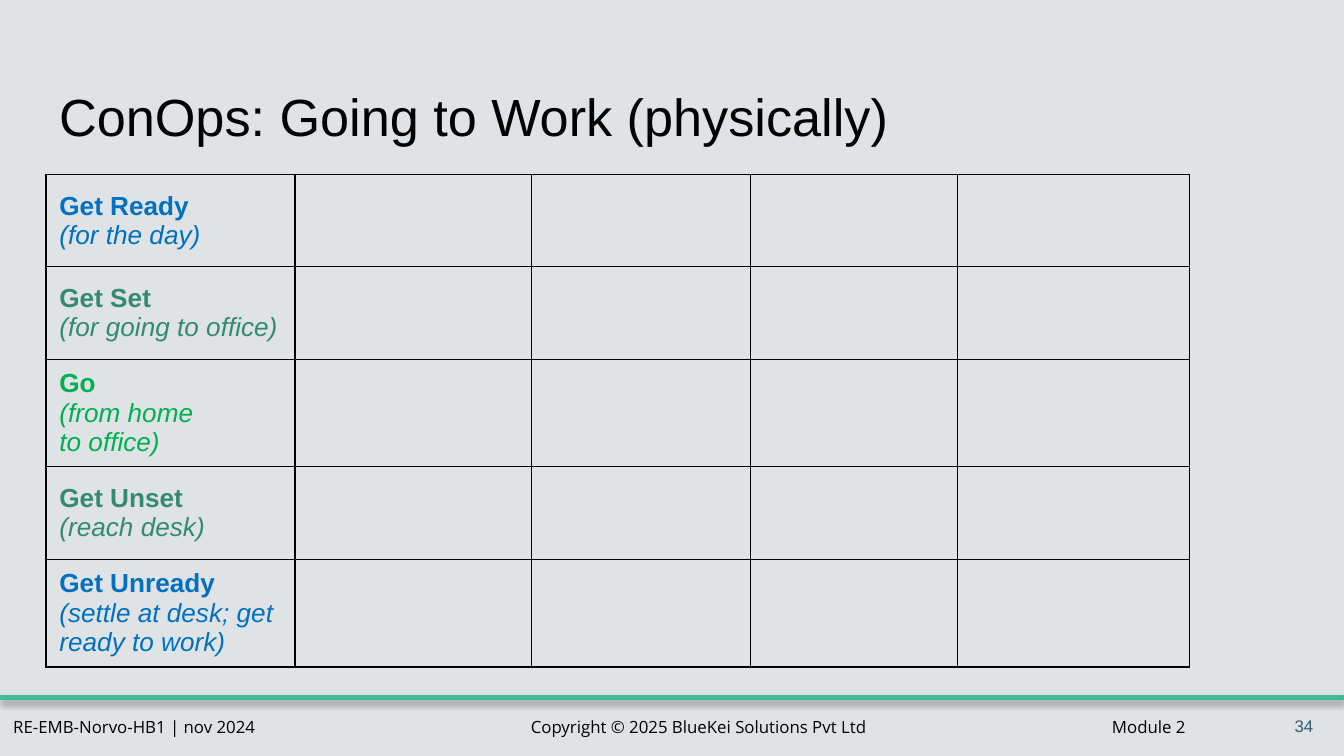
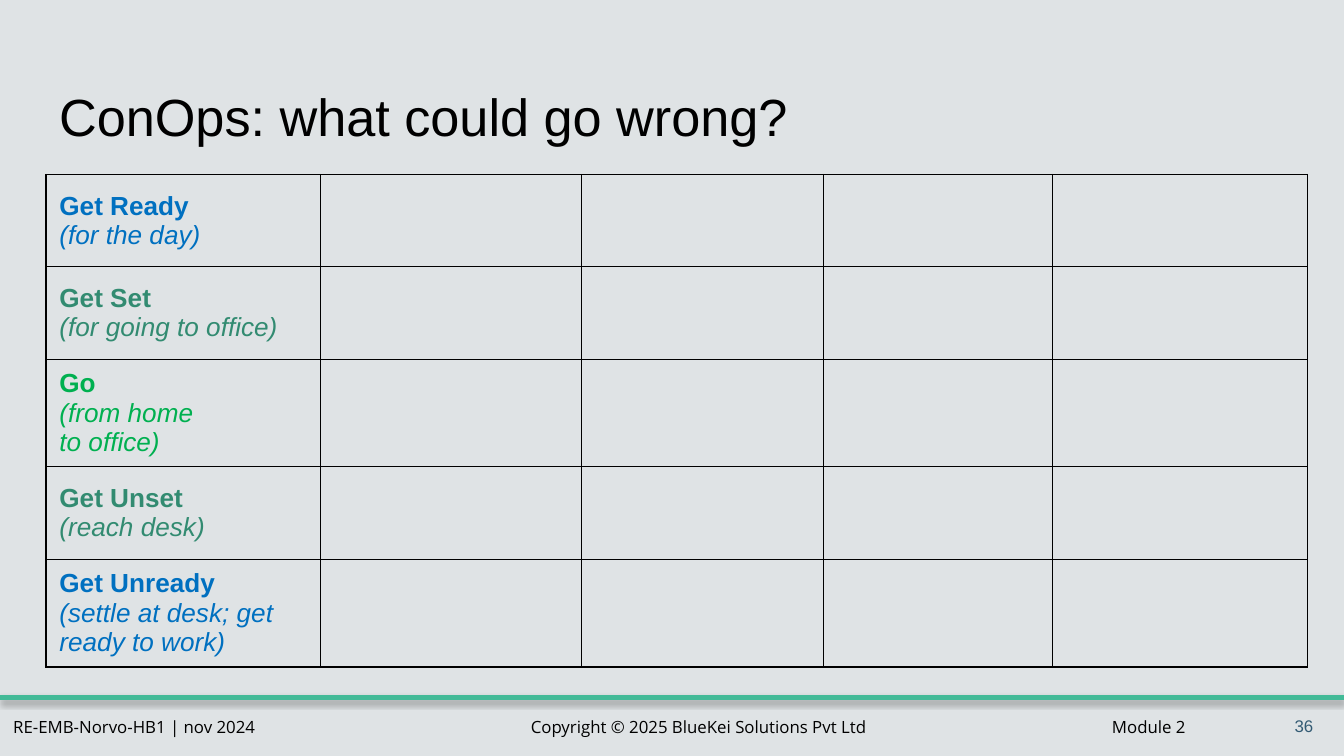
from lxml import etree
from pptx import Presentation
from pptx.dml.color import RGBColor
from pptx.enum.shapes import MSO_CONNECTOR
from pptx.enum.text import MSO_ANCHOR, MSO_AUTO_SIZE, PP_ALIGN
from pptx.oxml import parse_xml
from pptx.oxml.ns import nsdecls, qn
from pptx.util import Pt

LEFT, RIGHT = PP_ALIGN.LEFT, PP_ALIGN.RIGHT
TOP, MIDDLE = MSO_ANCHOR.TOP, MSO_ANCHOR.MIDDLE
TITLE_ONLY = 5

BACKGROUND, BLACK, RULE_GREEN, NUMBER_BLUE = "DFE3E5", "000000", "42BA97", "335B74"
BLUE, TEAL, GREEN = "0070C0", "328B71", "00B050"

FOOTER_TEXTS = [
    ("Copyright © 2025 BlueKei Solutions Pvt Ltd", 275, 196, RIGHT),
    ("RE-EMB-Norvo-HB1 | nov 2024", 0, 170.6, LEFT),
    ("Module 2", 471.6, 170.6, RIGHT),
]
STAGES = [
    ("Get Ready", "(for the day)", BLUE),
    ("Get Set", "(for going to office)", TEAL),
    ("Go", "(from home\vto office)", GREEN),
    ("Get Unset", "(reach desk)", TEAL),
    ("Get Unready", "(settle at desk; get ready to work)", BLUE),
]
COLUMN_WIDTHS = [133.4, 126.7, 117.3, 111.2, 124]
ROW_HEIGHT = 49.5
# title, slide number, scale of the column widths
SLIDES = [
    ("ConOps: Going to Work (physically)", "34", 1),
    ("ConOps: what could go wrong?", "36", 1.1034),
]


def style(font, name, size, color):
    font.name, font.size = name, Pt(size)
    font.color.rgb = RGBColor.from_string(color)


def add_footer_text(slide, text, box, align, font_name, color):
    frame = slide.shapes.add_textbox(*[Pt(v) for v in box]).text_frame
    frame.word_wrap = True
    frame.vertical_anchor = MIDDLE
    frame.margin_left = frame.margin_right = Pt(7.2)
    frame.margin_top = frame.margin_bottom = Pt(7.2)
    paragraph = frame.paragraphs[0]
    paragraph.text, paragraph.alignment = text, align
    style(paragraph.font, font_name, 9, color)


prs = Presentation()
prs.slide_width, prs.slide_height = Pt(720), Pt(405)
background = prs.slide_master.background.fill
background.solid()
background.fore_color.rgb = RGBColor.from_string(BACKGROUND)

for heading, number, scale in SLIDES:
    slide = prs.slides.add_slide(prs.slide_layouts[TITLE_ONLY])

    # Footer
    for text, left, width, align in FOOTER_TEXTS:
        add_footer_text(slide, text, (left, 375, width, 29), align, "Open Sans", BLACK)
    add_footer_text(slide, number, (667.6, 373.2, 43, 31), RIGHT, "Arial", NUMBER_BLUE)
    rule = slide.shapes.add_connector(
        MSO_CONNECTOR.STRAIGHT, Pt(0), Pt(373.6), Pt(720), Pt(373.6))
    rule.line.width = Pt(3)
    rule.line.color.rgb = RGBColor.from_string(RULE_GREEN)
    rule._element.spPr.append(parse_xml(
        f'<a:effectLst {nsdecls("a")}><a:outerShdw blurRad="{Pt(3.1)}" dist="{Pt(1.8)}" '
        f'dir="5400000" rotWithShape="0"><a:srgbClr val="{BLACK}"><a:alpha val="35000"/>'
        '</a:srgbClr></a:outerShdw></a:effectLst>'))

    # Title
    title = slide.shapes.title
    title.left, title.top, title.width, title.height = Pt(24.5), Pt(35.3), Pt(671), Pt(45.4)
    frame = title.text_frame
    frame.auto_size = MSO_AUTO_SIZE.NONE
    frame.vertical_anchor = TOP
    frame.margin_left = frame.margin_right = Pt(7.2)
    frame.margin_top, frame.margin_bottom = Pt(10), Pt(0)
    frame.text = heading
    frame.paragraphs[0].alignment = LEFT
    style(frame.paragraphs[0].font, "Arial", 28, BLACK)

    # Stages of the journey
    widths = [width * scale for width in COLUMN_WIDTHS]
    table = slide.shapes.add_table(
        len(STAGES), len(widths), Pt(24.6), Pt(93.5),
        Pt(sum(widths)), Pt(ROW_HEIGHT * len(STAGES))).table
    table.first_row = table.horz_banding = False
    for column, width in zip(table.columns, widths):
        column.width = Pt(width)
    for row in table.rows:
        row.height = Pt(ROW_HEIGHT)

    for cell in table.iter_cells():
        properties = cell._tc.get_or_add_tcPr()
        for side in ("a:lnL", "a:lnR", "a:lnT", "a:lnB"):
            border = etree.SubElement(properties, qn(side), w=str(Pt(0.75)))
            fill = etree.SubElement(border, qn("a:solidFill"))
            etree.SubElement(fill, qn("a:srgbClr"), val=BLACK)
        cell.fill.background()

    for row, (stage, detail, color) in enumerate(STAGES):
        cell = table.cell(row, 0)
        cell.vertical_anchor = MIDDLE
        cell.text = f"{stage}\n{detail}"
        name_line, detail_line = cell.text_frame.paragraphs
        for paragraph in (name_line, detail_line):
            style(paragraph.font, "Arial", 14, color)
        name_line.font.bold = True
        detail_line.font.italic = True

prs.save("out.pptx")
